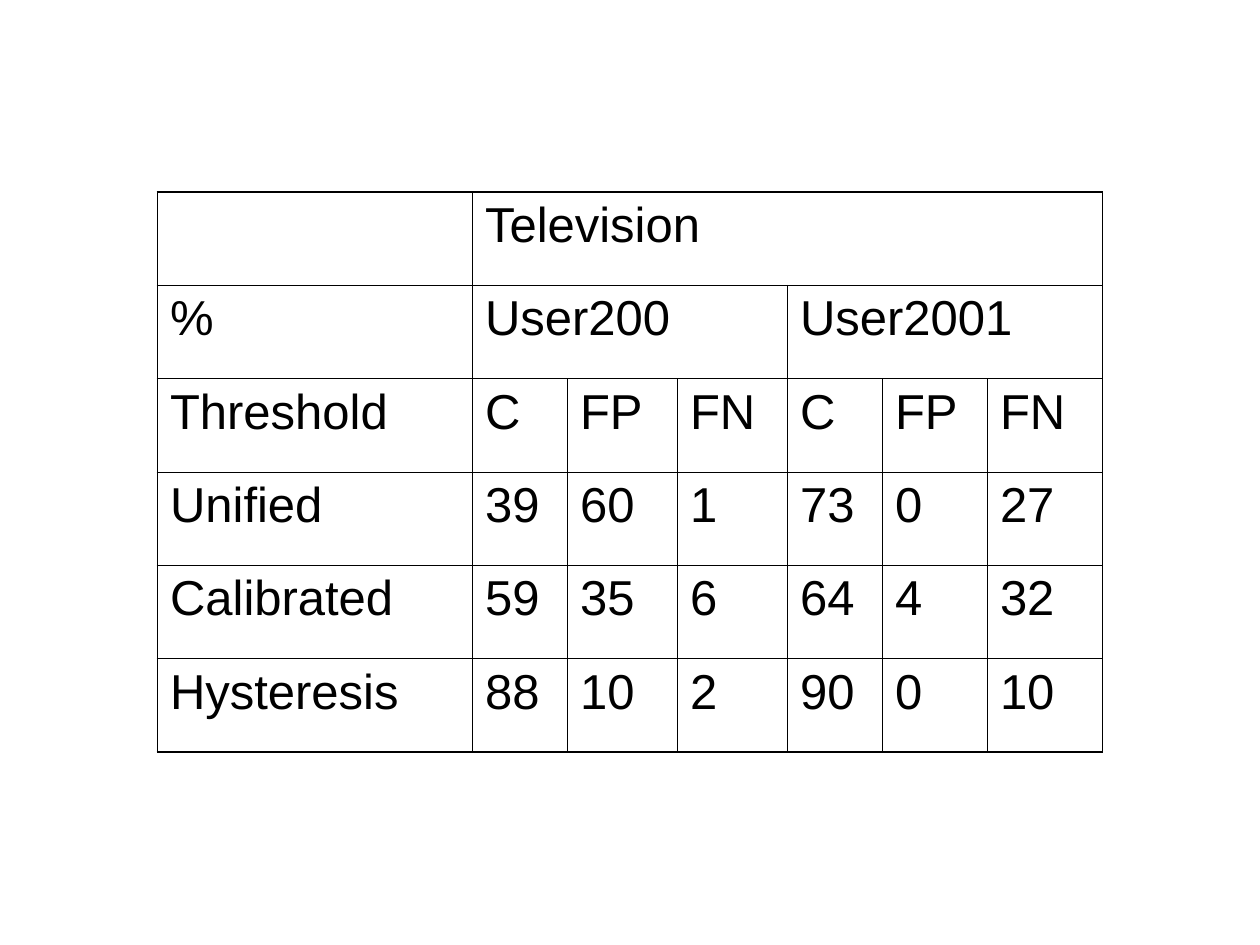
from lxml.etree import SubElement
from pptx import Presentation
from pptx.dml.color import RGBColor
from pptx.oxml.ns import qn
from pptx.util import Inches, Pt

PX = Inches(1) / 126
COLORS = {"ink": "000000"}
NO_STYLE = "{2D5ABB26-0587-4C30-8999-92F81FD0307C}"
OUTER, INNER = 1.08, 0.45

ROWS = [
    ["", "Television", None, None, None, None, None],
    ["%", "User200", None, None, "User2001", None, None],
    ["Threshold", "C", "FP", "FN", "C", "FP", "FN"],
    ["Unified", "39", "60", "1", "73", "0", "27"],
    ["Calibrated", "59", "35", "6", "64", "4", "32"],
    ["Hysteresis", "88", "10", "2", "90", "0", "10"],
]
COLUMN_WIDTHS = [315, 95, 110, 110, 95, 105, 115]
LEFT, TOP, HEIGHT = 157.5, 192, 560


def px(length):
    return round(length * PX)


def add_border(cell, side, width):
    line = SubElement(cell._tc.get_or_add_tcPr(), qn(f"a:ln{side}"), w=str(Pt(width)))
    fill = SubElement(line, qn("a:solidFill"))
    SubElement(fill, qn("a:srgbClr"), val=COLORS["ink"])


def span_end(row, column):
    end = column + 1
    while end < len(row) and row[end] is None:
        end += 1
    return end


def write(cell, text):
    paragraph = cell.text_frame.paragraphs[0]
    paragraph.space_before = Pt(7)
    run = paragraph.add_run()
    run.text = text
    run.font.name = "Arial"
    run.font.size = Pt(28)
    run.font.color.rgb = RGBColor.from_string(COLORS["ink"])


def frame(cell, row, column, end):
    starts_span = ROWS[row][column] is not None
    if starts_span:
        add_border(cell, "L", OUTER if column == 0 else INNER)
    if starts_span or column + 1 == end:
        add_border(cell, "R", OUTER if end == len(COLUMN_WIDTHS) else INNER)
    add_border(cell, "T", OUTER if row == 0 else INNER)
    add_border(cell, "B", OUTER if row + 1 == len(ROWS) else INNER)
    cell.fill.background()


def main():
    deck = Presentation()
    deck.slide_width, deck.slide_height = Inches(10), Inches(7.5)
    slide = deck.slides.add_slide(deck.slide_layouts[6])
    results = slide.shapes.add_table(
        len(ROWS), len(COLUMN_WIDTHS),
        px(LEFT), px(TOP), px(sum(COLUMN_WIDTHS)), px(HEIGHT),
    ).table
    results.first_row = results.horz_banding = False
    results._tbl.tblPr.find(qn("a:tableStyleId")).text = NO_STYLE
    for column, width in zip(results.columns, COLUMN_WIDTHS):
        column.width = px(width)
    for row in results.rows:
        row.height = px(HEIGHT / len(ROWS))

    for r, row in enumerate(ROWS):
        for c, text in enumerate(row):
            cell, end = results.cell(r, c), span_end(row, c)
            frame(cell, r, c, end)
            if text is not None and end > c + 1:
                cell.merge(results.cell(r, end - 1))
            if text:
                write(cell, text)

    deck.save("out.pptx")


if __name__ == "__main__":
    main()
